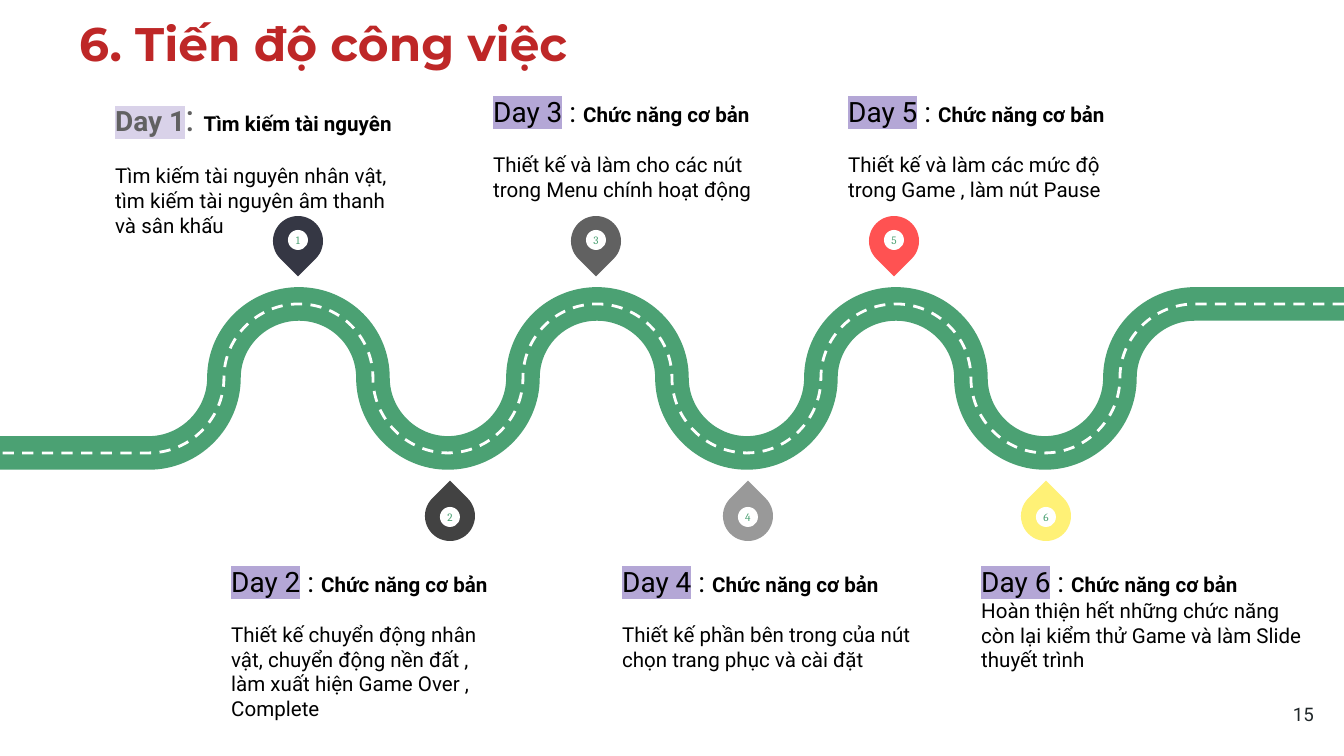
"""Build a slide with a six-day work plan along a winding road."""
import lxml.etree
import pptx
import pptx.dml.color
import pptx.enum.dml
import pptx.enum.shapes
import pptx.enum.text
import pptx.oxml.ns
import pptx.util

WIDTH, HEIGHT = 1344, 756
SCALE = 9144000 / WIDTH
COLORS = {
    "title": "BE2727", "black": "000000", "white": "FFFFFF", "number": "202729",
    "road": "4BA173", "gray": "616161", "lilac": "D9D2E9", "purple": "B4A7D6",
}
TITLE = "6. Tiến độ công việc"
PAGE_NUMBER = "15"
BASIC = "Chức năng cơ bản"
DAYS = [
    {"box": (102, 81, 312, 195), "pin": "353744", "task": "Tìm kiếm tài nguyên", "gap": 12.9,
     "detail": "Tìm kiếm tài nguyên nhân vật, tìm kiếm tài nguyên âm thanh và sân khấu"},
    {"box": (218, 551, 298, 200), "pin": "424242", "task": BASIC, "gap": 12.9,
     "detail": "Thiết kế chuyển động nhân vật, chuyển động nền đất , làm xuất hiện Game Over , Complete"},
    {"box": (480, 81, 298, 136), "pin": "616161", "task": BASIC, "gap": 12.9,
     "detail": "Thiết kế và làm cho các nút trong Menu chính hoạt động"},
    {"box": (609, 551, 345, 136), "pin": "999999", "task": BASIC, "gap": 12.9,
     "detail": "Thiết kế phần bên trong của nút chọn trang phục và cài đặt"},
    {"box": (835, 81, 298, 136), "pin": "FF5252", "task": BASIC, "gap": 12.9,
     "detail": "Thiết kế và làm các mức độ trong Game , làm nút Pause"},
    {"box": (968, 551, 362, 136), "pin": "FFF176", "task": BASIC, "gap": 0,
     "detail": "Hoàn thiện hết những chức năng còn lại kiểm thử Game và làm Slide thuyết trình"},
]
PIN_SIZE, BADGE_SIZE, PIN_STEP = 50, 20, 298
PIN_ROWS = [
    {"left": 273, "top": 216, "badge_drop": 14, "rotation": 135},
    {"left": 425, "top": 491, "badge_drop": 16, "rotation": 315},
]
ROAD_TOP, ROAD_MIDDLE, ROAD_BOTTOM = 304, 378, 453
ROAD_STEPS = [18, *range(16, 1, -1), 0]
ARC = 0.5523
DASH = pptx.enum.dml.MSO_LINE.DASH
ALIGN = pptx.enum.text.PP_ALIGN
MIDDLE = pptx.enum.text.MSO_ANCHOR.MIDDLE
SHAPE = pptx.enum.shapes.MSO_SHAPE
qn = pptx.oxml.ns.qn


def px(value):
    return pptx.util.Emu(round(value * SCALE))


def rgb(value):
    return pptx.dml.color.RGBColor.from_string(value)


def add_span(para, text, size, color, font="Roboto", bold=False, highlight=None):
    span = para.add_run()
    span.text = text
    values = {"name": font, "size": pptx.util.Pt(size), "bold": bold}
    for name, value in values.items():
        setattr(span.font, name, value)
    span.font.color.rgb = rgb(color)
    if highlight:
        mark = lxml.etree.Element(qn("a:highlight"))
        lxml.etree.SubElement(mark, qn("a:srgbClr"), val=highlight)
        span._r.get_or_add_rPr().find(qn("a:solidFill")).addnext(mark)


def set_frame(frame, margin=0.1, **values):
    margins = dict.fromkeys(
        ("margin_left", "margin_top", "margin_right", "margin_bottom"), pptx.util.Inches(margin))
    for name, value in {"word_wrap": True, **margins, **values}.items():
        setattr(frame, name, value)
    return frame


def add_box(page, place, **values):
    box = page.shapes.add_textbox(*map(px, place))
    return set_frame(box.text_frame, **values)


def add_filled(group, kind, place, color):
    shape = group.shapes.add_shape(kind, *map(px, place))
    shape.shadow.inherit = False
    shape.fill.solid()
    shape.fill.fore_color.rgb = rgb(color)
    shape.line.fill.background()
    return shape


def road_joint(step):
    x = round(step * WIDTH / 18)
    if step % 2:
        return x, ROAD_MIDDLE
    return x, ROAD_TOP if step % 4 == 0 and step or step == 18 else ROAD_BOTTOM


def add_road(page, color, width, dash=None):
    joints = [road_joint(step) for step in ROAD_STEPS]
    builder = page.shapes.build_freeform(*joints[0], scale=SCALE)
    builder.add_line_segments(joints[1:], close=False)
    road = builder.convert_to_shape()
    road.shadow.inherit = False
    road.fill.background()
    road.line.color.rgb = rgb(color)
    road.line.width = pptx.util.Pt(width)
    if dash:
        road.line.dash_style = dash
    segments = list(road._element.iter(qn("a:lnTo")))
    for segment, step, (x, y), (end_x, end_y) in zip(segments, ROAD_STEPS, joints, joints[1:]):
        if y == end_y:
            continue
        bend_x, bend_y = ARC * (end_x - x), ARC * (end_y - y)
        controls = [(x + bend_x, y), (end_x, end_y - bend_y)]
        if step % 2:
            controls = [(x, y + bend_y), (end_x - bend_x, end_y)]
        curve = lxml.etree.Element(qn("a:cubicBezTo"))
        for point_x, point_y in [*controls, (end_x, end_y)]:
            lxml.etree.SubElement(curve, qn("a:pt"), x=str(round(point_x)),
                                  y=str(round(point_y - ROAD_TOP)))
        segment.getparent().replace(segment, curve)


def add_pin(page, index, color):
    row = PIN_ROWS[index % 2]
    left = row["left"] + index // 2 * PIN_STEP
    inset = (PIN_SIZE - BADGE_SIZE) / 2
    group = page.shapes.add_group_shape()
    pin = add_filled(group, SHAPE.TEAR, (left, row["top"], PIN_SIZE, PIN_SIZE), color)
    pin.rotation = row["rotation"]
    place = (left + inset, row["top"] + row["badge_drop"], BADGE_SIZE, BADGE_SIZE)
    badge = add_filled(group, SHAPE.OVAL, place, COLORS["white"])
    frame = set_frame(badge.text_frame, margin=0, vertical_anchor=MIDDLE)
    para = frame.paragraphs[0]
    para.alignment = ALIGN.CENTER
    add_span(para, str(index + 1), 6, COLORS["road"], font="Cambria")


def add_day(page, index, day):
    first = index == 0
    frame = add_box(page, day["box"])
    para = frame.paragraphs[0]
    para.space_after = pptx.util.Pt(day["gap"])
    color = COLORS["gray" if first else "black"]
    add_span(para, f"Day {index + 1}", 15, color, bold=first,
             highlight=COLORS["lilac" if first else "purple"])
    add_span(para, ": " if first else " : ", 20 if first else 15, color)
    add_span(para, day["task"], 11, COLORS["black"], bold=True)
    add_span(frame.add_paragraph(), day["detail"], 11, COLORS["black"])


def main():
    deck = pptx.Presentation()
    deck.slide_width, deck.slide_height = px(WIDTH), px(HEIGHT)
    page = deck.slides.add_slide(deck.slide_layouts[6])

    number = add_box(page, (1246, 685, 81, 58), vertical_anchor=MIDDLE).paragraphs[0]
    number.alignment = ALIGN.RIGHT
    add_span(number, PAGE_NUMBER, 10, COLORS["number"])

    add_road(page, COLORS["road"], 18)
    add_road(page, COLORS["white"], 1.5, DASH)

    title = add_box(page, (66, 12, 586, 68), vertical_anchor=MIDDLE).paragraphs[0]
    title.line_spacing = 0.9
    add_span(title, TITLE, 25.2, COLORS["title"], font="Montserrat", bold=True)

    for index, day in enumerate(DAYS):
        add_pin(page, index, day["pin"])
        add_day(page, index, day)

    deck.save("out.pptx")


if __name__ == "__main__":
    main()
